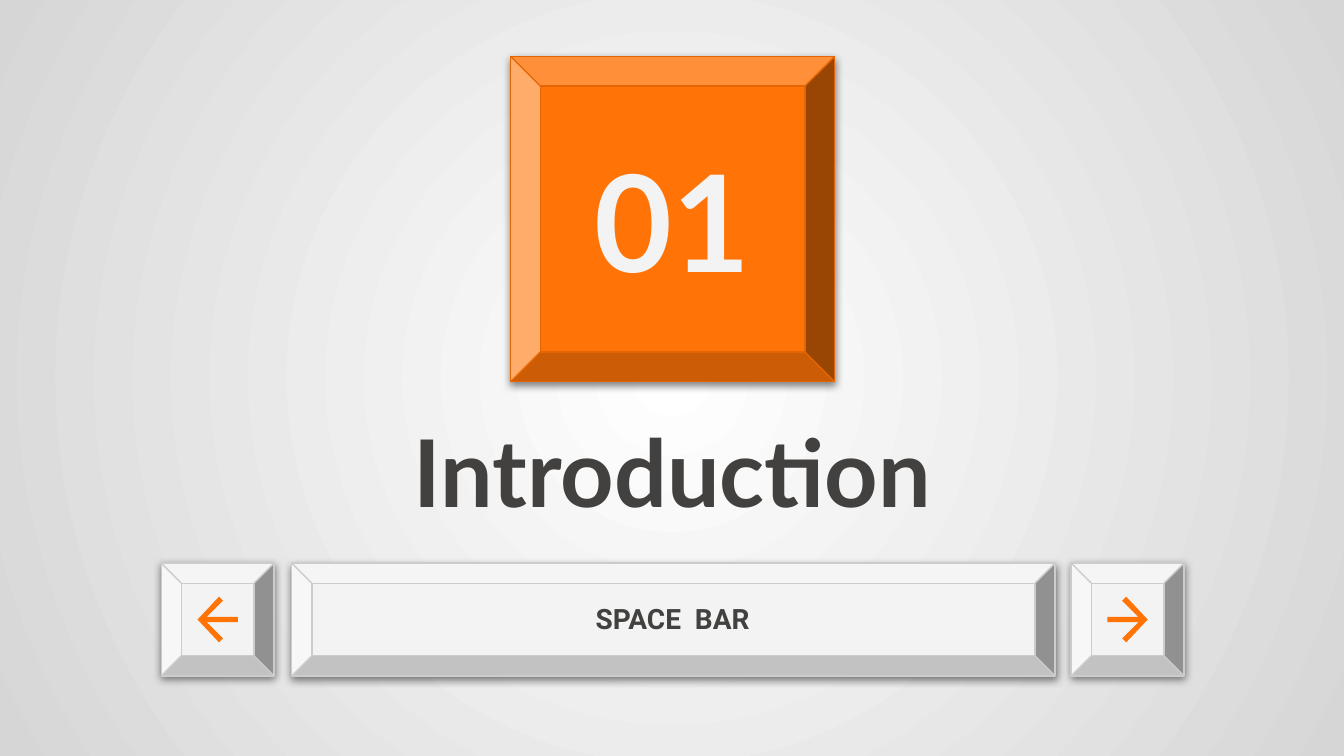
from lxml import etree
from pptx import Presentation
from pptx.dml.color import RGBColor
from pptx.enum.shapes import MSO_SHAPE
from pptx.enum.text import MSO_ANCHOR, MSO_AUTO_SIZE, PP_ALIGN
from pptx.oxml import parse_xml
from pptx.oxml.ns import nsdecls, qn
from pptx.util import Inches, Pt

COLORS = {
    "center": "FFFFFF", "edge": "D6D6D6", "key": "F3F3F3", "key_line": "CCCCCC",
    "accent": "FF7307", "accent_line": "E46503", "text": "42413F", "shadow": "000000",
}
NUMBER, TITLE, SPACE_BAR = "01", "Introduction", "SPACE  BAR"

KEY = 0.84
ROW_TOP = 4.19
BAR_LEFT, BAR_WIDTH = 2.17, 5.68
# Right-pointing arrow, measured from the key's top left corner
ARROW = [(0.41, 0.25), (0.38, 0.28), (0.5, 0.4), (0.27, 0.4), (0.27, 0.44),
         (0.5, 0.44), (0.38, 0.56), (0.41, 0.59), (0.57, 0.42)]
ARROW_KEYS = [(7.97, False), (1.2, True)]  # left edge, mirrored


def rgb(name):
    return RGBColor.from_string(COLORS[name])


def radial_background(slide):
    fill = slide.background.fill
    fill.gradient()
    for stop, name, pos in zip(fill.gradient_stops, ("center", "edge"), (0, 1)):
        stop.color.rgb = rgb(name)
        stop.position = pos
    grad = slide.element.find(".//" + qn("a:gradFill"))
    grad.replace(grad.find(qn("a:lin")), parse_xml(
        f'<a:path {nsdecls("a")} path="circle">'
        '<a:fillToRect l="50000" t="50000" r="50000" b="50000"/></a:path>'))


def add_shadow(sp):
    """Give the shape a soft shadow that falls straight down."""
    sp.shadow.inherit = False
    effects = sp.element.spPr.find(qn("a:effectLst"))
    shadow = etree.SubElement(effects, qn("a:outerShdw"), blurRad=str(Pt(4.5)),
                              dist=str(Pt(1.5)), dir="5400000", algn="bl", rotWithShape="0")
    color = etree.SubElement(shadow, qn("a:srgbClr"), val=COLORS["shadow"])
    etree.SubElement(color, qn("a:alpha"), val="50000")


def add_key(shapes, box, bevel=0.179, fill="key", line="key_line"):
    sp = shapes.add_shape(MSO_SHAPE.BEVEL, *map(Inches, box))
    sp.adjustments[0] = bevel
    sp.fill.solid()
    sp.fill.fore_color.rgb = rgb(fill)
    sp.line.color.rgb = rgb(line)
    sp.line.width = Pt(0.75)
    add_shadow(sp)


def add_arrow_key(shapes, left, mirrored):
    group = shapes.add_group_shape().shapes
    add_key(group, (left, ROW_TOP, KEY, KEY))
    points = [(Inches(left + (KEY - x if mirrored else x)), Inches(ROW_TOP + y))
              for x, y in ARROW]
    builder = group.build_freeform(*points[0])
    builder.add_line_segments(points[1:], close=True)
    sp = builder.convert_to_shape()
    sp.fill.solid()
    sp.fill.fore_color.rgb = rgb("accent")
    sp.line.fill.background()
    sp.shadow.inherit = False


def set_text(sp, text, box, size, font="Lato", color="text"):
    sp.left, sp.top, sp.width, sp.height = map(Inches, box)
    tf = sp.text_frame
    tf.word_wrap = True
    tf.auto_size = MSO_AUTO_SIZE.NONE
    tf.vertical_anchor = MSO_ANCHOR.MIDDLE
    tf.margin_left = tf.margin_right = tf.margin_top = tf.margin_bottom = Inches(0.1)
    p = tf.paragraphs[0]
    p.alignment = PP_ALIGN.CENTER
    p.space_before = Pt(0)
    r = p.add_run()
    r.text = text
    r.font.size, r.font.name, r.font.bold = Pt(size), font, True
    r.font.color.rgb = rgb(color)


def main():
    prs = Presentation()
    prs.slide_width = Inches(10)
    prs.slide_height = prs.slide_width * 9 // 16
    s = prs.slides.add_slide(prs.slide_layouts[0])
    radial_background(s)
    title, subtitle = s.placeholders

    add_key(s.shapes, (BAR_LEFT, ROW_TOP, BAR_WIDTH, KEY))
    for sp in (title, subtitle):  # bring the labels in front of the space bar
        sp.element.getparent().append(sp.element)
    set_text(title, TITLE, (2.58, 2.84, 4.85, 1.31), 50)
    set_text(subtitle, SPACE_BAR, (2.58, 4.36, 4.85, 0.48), 15, font="Roboto")

    for left, mirrored in ARROW_KEYS:
        add_arrow_key(s.shapes, left, mirrored)

    add_key(s.shapes, (3.8, 0.42, 2.41, 2.42), 0.091, "accent", "accent_line")
    number = s.shapes.add_textbox(0, 0, 0, 0)
    set_text(number, NUMBER, (4.01, 0.98, 1.98, 1.3), 72, color="key")

    prs.save("out.pptx")


if __name__ == "__main__":
    main()
